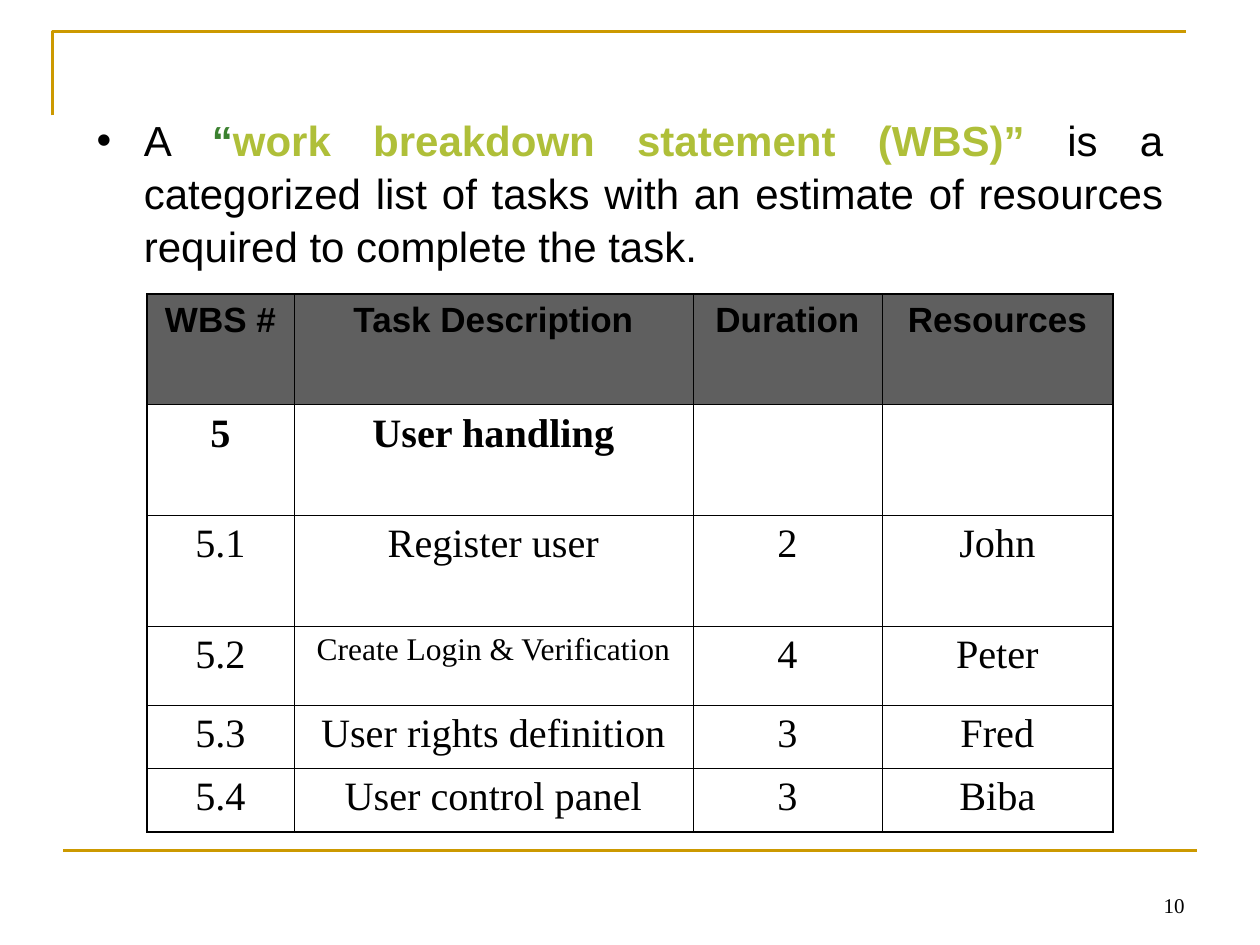
from lxml.etree import SubElement
from pptx import Presentation
from pptx.dml.color import RGBColor
from pptx.enum.shapes import MSO_CONNECTOR
from pptx.enum.text import MSO_ANCHOR, MSO_AUTO_SIZE, PP_ALIGN
from pptx.oxml.ns import qn
from pptx.util import Pt

BLACK = RGBColor(0x00, 0x00, 0x00)
GOLD = RGBColor(0xCC, 0x99, 0x00)
GREEN = RGBColor(0x3B, 0x81, 0x2F)
LIME = RGBColor(0xAF, 0xBF, 0x39)
GRAY = RGBColor(0x5F, 0x5F, 0x5F)
SANS, SERIF = "Arial", "Times New Roman"

DEFINITION = [
    ("A ", BLACK, False),
    ("“", GREEN, True),
    ("work breakdown statement (WBS)”", LIME, True),
    (" is a categorized list of tasks with an estimate of resources "
     "required to complete the task.", BLACK, False),
]
TASKS = [
    ("WBS #", "Task Description", "Duration", "Resources"),
    ("5", "User handling", "", ""),
    ("5.1", "Register user", "2", "John"),
    ("5.2", "Create Login & Verification", "4", "Peter"),
    ("5.3", "User rights definition", "3", "Fred"),
    ("5.4", "User control panel", "3", "Biba"),
]
COLUMN_WIDTHS = (84, 228, 108, 132)
ROW_HEIGHTS = (63.3, 63.3, 63.3, 45.4, 36, 36)
SMALL_TEXT = "Create Login & Verification"
PAGE_NUMBER = "10"
THIN, THICK = 0.45, 1.08


def add_span(para, text, size=24, font=SANS, color=BLACK, bold=False):
    span = para.add_run()
    span.text = text
    span.font.size = Pt(size)
    span.font.name = font
    span.font.color.rgb = color
    span.font.bold = bold


def style_line(line):
    line.color.rgb = GOLD
    line.width = Pt(1.5)


def add_frame(page):
    builder = page.shapes.build_freeform(Pt(30), Pt(66))
    builder.add_line_segments([(Pt(30), Pt(18)), (Pt(678), Pt(18))], close=False)
    corner = builder.convert_to_shape()
    corner.fill.background()
    corner.shadow.inherit = False
    style_line(corner.line)
    rule = page.shapes.add_connector(
        MSO_CONNECTOR.STRAIGHT, Pt(36), Pt(486), Pt(684), Pt(486))
    style_line(rule.line)
    SubElement(rule._element.spPr, qn("a:effectLst"))


def add_definition(page):
    body = page.placeholders[1]
    body.left, body.top, body.width, body.height = Pt(48), Pt(60.5), Pt(624), Pt(392)
    body.text_frame.auto_size = MSO_AUTO_SIZE.NONE
    para = body.text_frame.paragraphs[0]
    para.alignment = PP_ALIGN.JUSTIFY
    para.space_before = Pt(0)
    para.line_spacing = 1.05
    properties = para._p.get_or_add_pPr()
    properties.set("marL", str(Pt(27)))
    properties.set("indent", str(-Pt(27)))
    bullet_color = SubElement(properties, qn("a:buClr"))
    SubElement(bullet_color, qn("a:srgbClr"), val=str(BLACK))
    SubElement(properties, qn("a:buFont"), typeface=SANS)
    SubElement(properties, qn("a:buChar"), char="•")
    for text, color, bold in DEFINITION:
        add_span(para, text, color=color, bold=bold)


def add_borders(cell, widths):
    properties = cell._tc.get_or_add_tcPr()
    for side, width in widths.items():
        line = SubElement(properties, qn(f"a:ln{side}"), w=str(Pt(width)))
        fill = SubElement(line, qn("a:solidFill"))
        SubElement(fill, qn("a:srgbClr"), val=str(BLACK))


def add_task_table(page):
    rows, columns = len(TASKS), len(COLUMN_WIDTHS)
    table = page.shapes.add_table(
        rows, columns, Pt(84), Pt(168),
        Pt(sum(COLUMN_WIDTHS)), Pt(sum(ROW_HEIGHTS))).table
    table.first_row = table.horz_banding = False
    for column, width in zip(table.columns, COLUMN_WIDTHS):
        column.width = Pt(width)
    for row, height in zip(table.rows, ROW_HEIGHTS):
        row.height = Pt(height)
    for r, values in enumerate(TASKS):
        for c, text in enumerate(values):
            cell = table.cell(r, c)
            add_borders(cell, {
                "L": THICK if c == 0 else THIN,
                "R": THICK if c == columns - 1 else THIN,
                "T": THICK if r == 0 else THIN,
                "B": THICK if r == rows - 1 else THIN,
            })
            if r == 0:
                cell.fill.solid()
                cell.fill.fore_color.rgb = GRAY
            else:
                cell.fill.background()
            para = cell.text_frame.paragraphs[0]
            para.alignment = PP_ALIGN.CENTER
            if text:
                size = 20 if r == 0 else 18 if text == SMALL_TEXT else 23
                add_span(para, text, size=size,
                         font=SANS if r == 0 else SERIF, bold=r < 2)


def add_page_number(page):
    box = page.shapes.add_textbox(Pt(516), Pt(492), Pt(168), Pt(36))
    box.text_frame.word_wrap = True
    box.text_frame.vertical_anchor = MSO_ANCHOR.BOTTOM
    para = box.text_frame.paragraphs[0]
    para.alignment = PP_ALIGN.RIGHT
    add_span(para, PAGE_NUMBER, size=12, font=SERIF)


def main():
    deck = Presentation()
    deck.slide_width, deck.slide_height = Pt(720), Pt(540)
    page = deck.slides.add_slide(deck.slide_layouts[1])
    title = page.shapes.title._element
    title.getparent().remove(title)
    add_frame(page)
    add_definition(page)
    add_task_table(page)
    add_page_number(page)
    deck.save("out.pptx")


if __name__ == "__main__":
    main()
